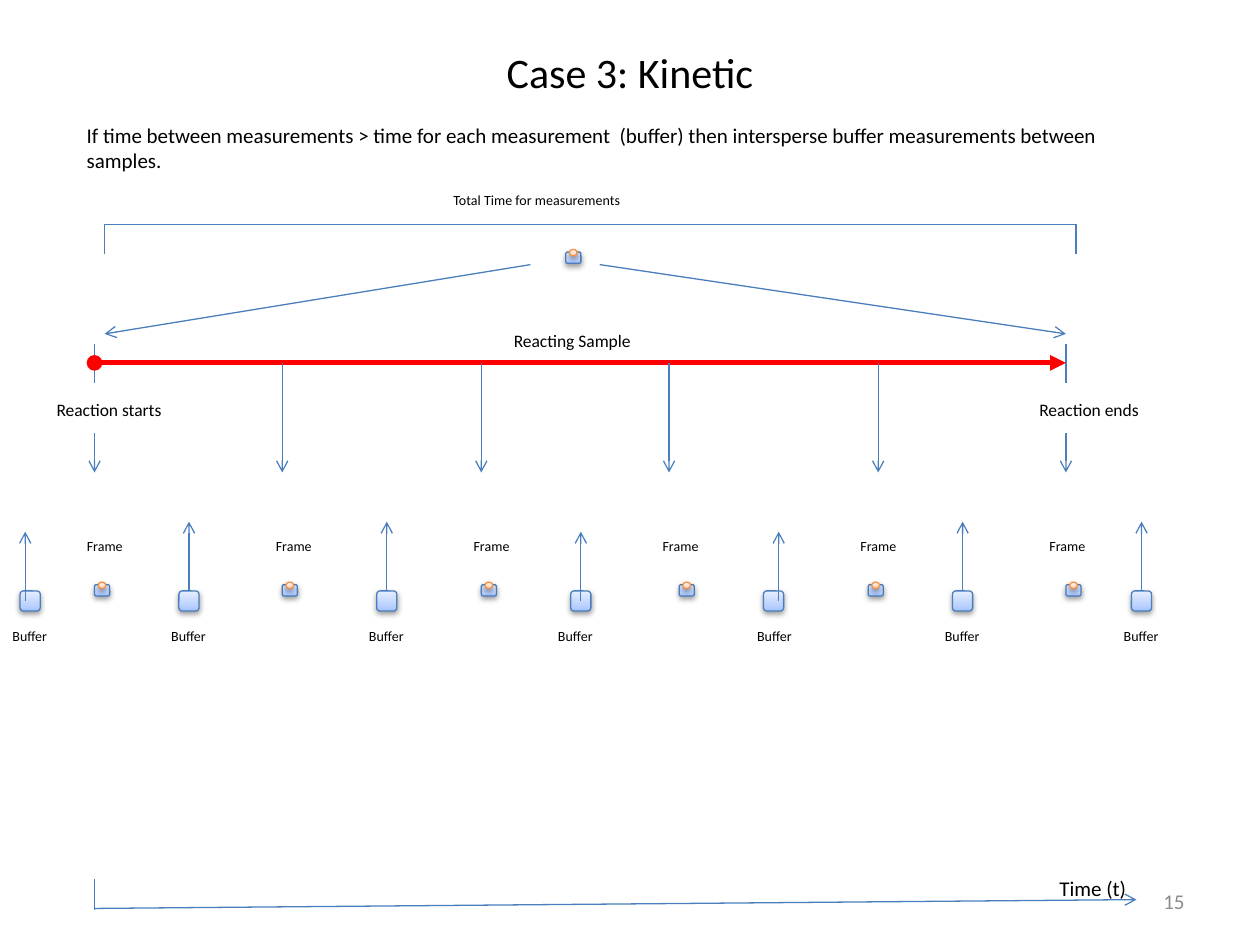
"""Build the kinetic measurement slide with interspersed buffer measurements."""
from dataclasses import dataclass

from lxml.etree import SubElement
from pptx import Presentation
from pptx.dml.color import RGBColor
from pptx.enum.shapes import MSO_CONNECTOR as Connector, MSO_SHAPE as Preset
from pptx.enum.text import MSO_ANCHOR as Anchor, MSO_AUTO_SIZE as AutoSize, PP_ALIGN as Align
from pptx.oxml import parse_xml
from pptx.oxml.ns import nsdecls, qn
from pptx.util import Inches, Pt

BLACK = RGBColor(0x00, 0x00, 0x00)
GRAY = RGBColor(0x8C, 0x8C, 0x8C)
BLUE = RGBColor(0x4B, 0x7E, 0xBC)
ORANGE = RGBColor(0xF6, 0x92, 0x40)
RED = RGBColor(0xFF, 0x00, 0x00)
BLUE_STOPS = (RGBColor(0xA4, 0xC4, 0xFF), RGBColor(0xBF, 0xD4, 0xFF), RGBColor(0xE6, 0xEE, 0xFF))
ORANGE_STOPS = (RGBColor(0xFF, 0xD2, 0xBD), RGBColor(0xFF, 0xDE, 0xD0), RGBColor(0xFF, 0xF2, 0xED))
STOP_POSITIONS = (0, 35000, 100000)
FONT = "Calibri"
START, END = 0.75, 8.46


@dataclass(frozen=True)
class Label:
    text: str
    left: float
    top: float
    width: float
    height: float
    size: float
    color: RGBColor = BLACK
    align: Align = Align.LEFT
    anchor: Anchor = Anchor.TOP
    wrap: bool = True


@dataclass(frozen=True)
class Frame:
    label_left: float
    sample_left: float
    arrow_x: float
    arrow_top: float = 2.88


@dataclass(frozen=True)
class Buffer:
    label_left: float
    square_left: float
    arrow_x: float
    arrow_bottom: float = 4.69


FRAMES = (
    Frame(0.59, 0.75, START, 3.44),
    Frame(2.09, 2.24, 2.24),
    Frame(3.66, 3.82, 3.82),
    Frame(5.16, 5.39, 5.31),
    Frame(6.73, 6.89, 6.97),
    Frame(8.23, 8.46, END, 3.44),
)
BUFFERS = (
    Buffer(0, 0.16, 0.2, 4.77),
    Buffer(1.26, 1.42, 1.5),
    Buffer(2.83, 2.99, 3.07),
    Buffer(4.33, 4.53, 4.61, 4.77),
    Buffer(5.91, 6.06, 6.18, 4.77),
    Buffer(7.4, 7.56, 7.64),
    Buffer(8.82, 8.98, 9.06),
)
LABELS = (
    Label("15", 7.17, 6.95, 2.33, 0.4, 12, GRAY, Align.RIGHT, Anchor.MIDDLE),
    Label("If time between measurements > time for each measurement  (buffer) then "
          "intersperse buffer measurements between samples.", 0.59, 0.92, 8.74, 0.5, 12),
    Label("Time (t)", 8.31, 6.9, 0.79, 0.3, 12),
    Label("Reaction starts", 0.35, 3.12, 1.18, 0.27, 10),
    Label("Reaction ends", 8.15, 3.12, 1.1, 0.27, 10),
    Label("Reacting Sample", 3.98, 2.57, 1.26, 0.27, 10),
    Label("Total Time for measurements", 3.5, 1.47, 1.55, 0.24, 8, wrap=False),
)


def set_text(shape, label: Label) -> None:
    frame = shape.text_frame
    frame.text = label.text
    paragraph = frame.paragraphs[0]
    formats = {
        frame: {"word_wrap": label.wrap, "vertical_anchor": label.anchor},
        paragraph: {"alignment": label.align},
        paragraph.runs[0].font: {"name": FONT, "size": Pt(label.size)},
        paragraph.runs[0].font.color: {"rgb": label.color},
    }
    for target, values in formats.items():
        for name, value in values.items():
            setattr(target, name, value)


def add_label(shapes, label: Label) -> None:
    box = shapes.add_textbox(*map(Inches, (label.left, label.top, label.width, label.height)))
    set_text(box, label)
    if label.anchor == Anchor.TOP:
        box.text_frame.auto_size = AutoSize.SHAPE_TO_FIT_TEXT


def add_line(shapes, x1: float, y1: float, x2: float, y2: float, tail: str = "",
             head: str = "", color: RGBColor = BLUE, width: float = 0.75) -> None:
    connector = shapes.add_connector(Connector.STRAIGHT, *map(Inches, (x1, y1, x2, y2)))
    connector.line.color.rgb = color
    connector.line.width = Pt(width)
    outline = connector.line._get_or_add_ln()
    for tag, kind in (("a:headEnd", head), ("a:tailEnd", tail)):
        if kind:
            SubElement(outline, qn(tag), type=kind)
    SubElement(connector._element.spPr, qn("a:effectLst"))


def add_glossy(shapes, preset: Preset, left: float, top: float, width: float, height: float,
               stops: tuple[RGBColor, ...], outline: RGBColor) -> None:
    shape = shapes.add_shape(preset, *map(Inches, (left, top, width, height)))
    shape.line.color.rgb = outline
    shape.line.width = Pt(0.75)
    shape.shadow.inherit = False
    stop_xml = "".join(
        f'<a:gs pos="{position}"><a:srgbClr val="{color}"/></a:gs>'
        for position, color in zip(STOP_POSITIONS, stops))
    gradient = parse_xml(
        f'<a:gradFill {nsdecls("a")} rotWithShape="1"><a:gsLst>{stop_xml}</a:gsLst>'
        '<a:lin ang="16200000" scaled="1"/></a:gradFill>')
    properties = shape._element.spPr
    properties.find(qn("a:prstGeom")).addnext(gradient)
    shadow = parse_xml(
        f'<a:outerShdw {nsdecls("a")} blurRad="40000" dist="20000" dir="5400000" '
        'rotWithShape="0"><a:srgbClr val="000000"><a:alpha val="38000"/></a:srgbClr>'
        '</a:outerShdw>')
    properties.find(qn("a:effectLst")).append(shadow)


def add_sample(shapes, left: float, top: float) -> None:
    sample = shapes.add_group_shape().shapes
    add_glossy(sample, Preset.ROUNDED_RECTANGLE, left, top, 0.12, 0.09, BLUE_STOPS, BLUE)
    add_glossy(sample, Preset.OVAL, left + 0.03, top - 0.02, 0.06, 0.05, ORANGE_STOPS, ORANGE)


def add_title(shapes) -> None:
    title = shapes.title
    place = {"left": 0.5, "top": 0.3, "width": 9, "height": 0.54}
    for name, value in place.items():
        setattr(title, name, Inches(value))
    set_text(title, Label("Case 3: Kinetic", *place.values(), 24,
                          align=Align.CENTER, anchor=Anchor.MIDDLE))


def add_timeline(shapes) -> None:
    add_sample(shapes, 4.49, 2)
    for x in (START, END):
        add_line(shapes, x, 2.73, x, 3.04)
    add_line(shapes, START, 2.88, END, 2.88, "triangle", "oval", RED, 3)
    add_line(shapes, 4.21, 2.1, 0.83, 2.65, "arrow")
    add_line(shapes, 4.76, 2.1, END, 2.65, "arrow")
    add_line(shapes, START, 7.21, 9.02, 7.14, "arrow")
    add_line(shapes, START, 7.22, START, 6.98)
    bracket = shapes.add_group_shape().shapes
    for x in (8.54, 0.83):
        add_line(bracket, x, 2.02, x, 1.78)
    add_line(bracket, 8.54, 1.78, 0.83, 1.78)


def main() -> None:
    deck = Presentation()
    deck.slide_width, deck.slide_height = Inches(10), Inches(7.5)
    shapes = deck.slides.add_slide(deck.slide_layouts[5]).shapes
    add_title(shapes)
    add_timeline(shapes)
    for label in LABELS:
        add_label(shapes, label)
    for frame in FRAMES:
        add_line(shapes, frame.arrow_x, frame.arrow_top, frame.arrow_x, 3.75, "arrow")
        add_label(shapes, Label("Frame", frame.label_left, 4.22, 0.55, 0.24, 8))
        add_sample(shapes, frame.sample_left, 4.64)
    for buffer in BUFFERS:
        add_label(shapes, Label("Buffer", buffer.label_left, 4.93, 0.55, 0.24, 8))
        add_glossy(shapes, Preset.ROUNDED_RECTANGLE, buffer.square_left, 4.69, 0.16, 0.16,
                   BLUE_STOPS, BLUE)
        add_line(shapes, buffer.arrow_x, buffer.arrow_bottom,
                 buffer.arrow_x, buffer.arrow_bottom - 0.55, "arrow")
    deck.save("out.pptx")


if __name__ == "__main__":
    main()
